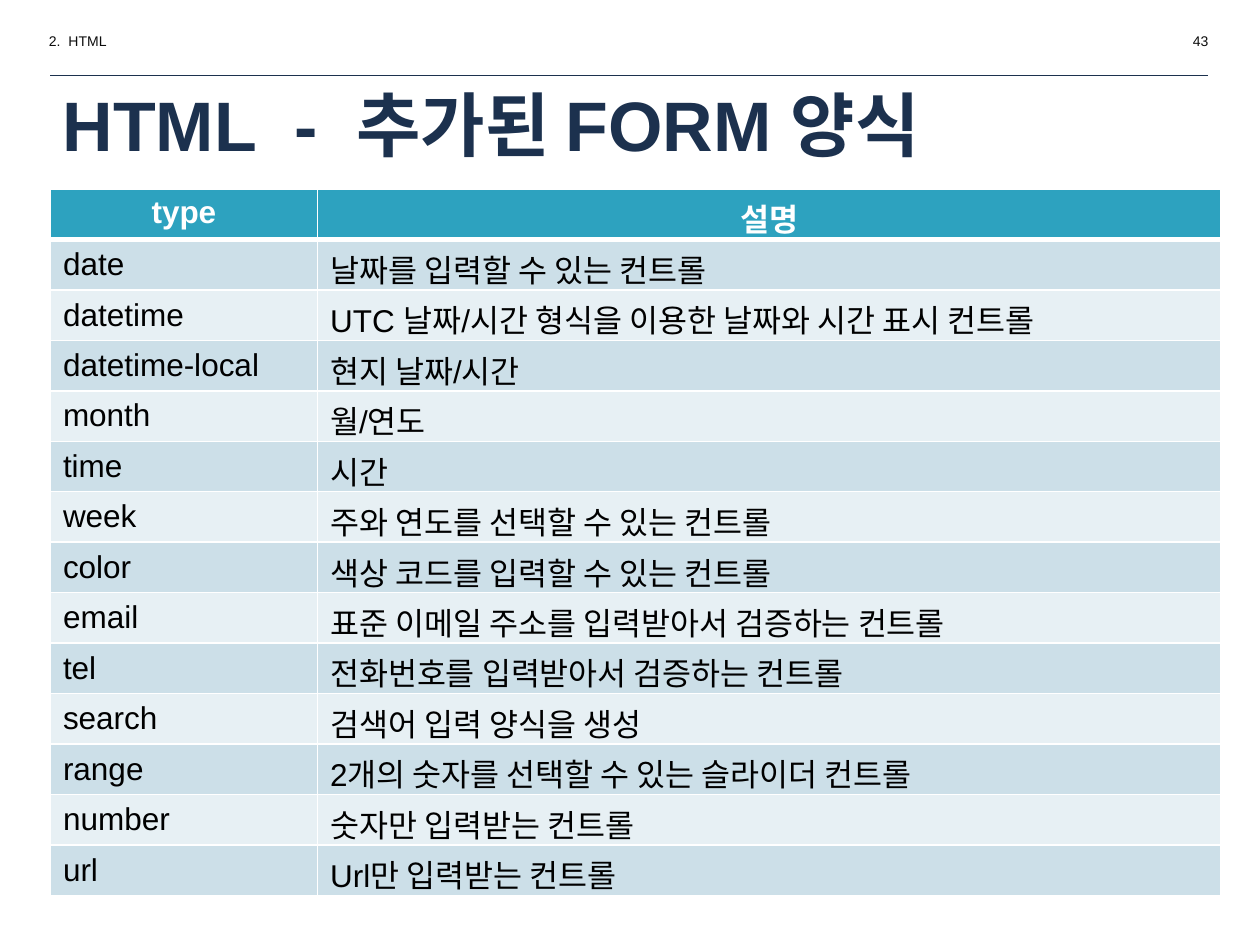
from lxml.etree import SubElement
from pptx import Presentation
from pptx.dml.color import RGBColor
from pptx.enum.shapes import MSO_CONNECTOR
from pptx.enum.text import MSO_ANCHOR, PP_ALIGN
from pptx.oxml.ns import qn
from pptx.util import Inches, Pt

NAVY, INK, BLACK, WHITE = "1C314E", "0C0C0C", "000000", "FFFFFF"
TEAL, BANDS = "2DA2BF", ("CCDFE8", "E7F0F4")

HEADER = ("type", "설명")
INPUT_TYPES = [
    ("date", "날짜를 입력할 수 있는 컨트롤"),
    ("datetime", "UTC 날짜/시간 형식을 이용한 날짜와 시간 표시 컨트롤"),
    ("datetime-local", "현지 날짜/시간"),
    ("month", "월/연도"),
    ("time", "시간"),
    ("week", "주와 연도를 선택할 수 있는 컨트롤"),
    ("color", "색상 코드를 입력할 수 있는 컨트롤"),
    ("email", "표준 이메일 주소를 입력받아서 검증하는 컨트롤"),
    ("tel", "전화번호를 입력받아서 검증하는 컨트롤"),
    ("search", "검색어 입력 양식을 생성"),
    ("range", "2개의 숫자를 선택할 수 있는 슬라이더 컨트롤"),
    ("number", "숫자만 입력받는 컨트롤"),
    ("url", "Url만 입력받는 컨트롤"),
]


def rgb(value):
    return RGBColor.from_string(value)


class Deck:
    """Holds the style and the current slide; lengths are percent of the slide."""

    font = "Arial"

    def __init__(self, width, height):
        self.prs = Presentation()
        self.prs.slide_width, self.prs.slide_height = Inches(width), Inches(height)
        self.s = self.prs.slides.add_slide(self.prs.slide_layouts[6])

    def x(self, share):
        return round(self.prs.slide_width * share / 100)

    def y(self, share):
        return round(self.prs.slide_height * share / 100)

    def set_text(self, tf, text, size, color, bold=False, align=PP_ALIGN.LEFT):
        p = tf.paragraphs[0]
        p.text, p.alignment = text, align
        for r in p.runs:
            r.font.name, r.font.size, r.font.bold = self.font, Pt(size), bold
            r.font.color.rgb = rgb(color)

    def text(self, left, top, width, height, text, size, color,
             bold=False, align=PP_ALIGN.LEFT, anchor=MSO_ANCHOR.TOP):
        sp = self.s.shapes.add_textbox(self.x(left), self.y(top), self.x(width), self.y(height))
        tf = sp.text_frame
        tf.word_wrap, tf.vertical_anchor = True, anchor
        self.set_text(tf, text, size, color, bold, align)

    def rule(self, left, right, top, color, weight):
        line = self.s.shapes.add_connector(
            MSO_CONNECTOR.STRAIGHT, self.x(left), self.y(top), self.x(right), self.y(top))
        line.line.color.rgb, line.line.width = rgb(color), Pt(weight)
        SubElement(line._element.spPr, qn("a:effectLst"))

    def borders(self, cell, **widths):
        tc_pr = cell._tc.get_or_add_tcPr()
        for side in "LRTB":
            ln = SubElement(tc_pr, qn(f"a:ln{side}"), w=str(Pt(widths.get(side, 1))))
            fill = SubElement(ln, qn("a:solidFill"))
            SubElement(fill, qn("a:srgbClr"), val=WHITE)

    def table(self, left, top, col_widths, row_height, rows):
        table = self.s.shapes.add_table(
            len(rows), len(col_widths), self.x(left), self.y(top),
            self.x(sum(col_widths)), self.y(row_height * len(rows))).table
        for column, width in zip(table.columns, col_widths):
            column.width = self.x(width)
        for i, values in enumerate(rows):
            table.rows[i].height = self.y(row_height)
            for cell, value in zip(table.rows[i].cells, values):
                if i == 0:
                    self.borders(cell, B=3)
                    self.set_text(cell.text_frame, value, 18, WHITE, True, PP_ALIGN.CENTER)
                else:
                    self.borders(cell, T=3 if i == 1 else 1)
                    self.set_text(cell.text_frame, value, 18, BLACK)
                    cell.vertical_anchor = MSO_ANCHOR.MIDDLE
                cell.fill.solid()
                cell.fill.fore_color.rgb = rgb(BANDS[(i - 1) % 2] if i else TEAL)


def main():
    deck = Deck(10, 7.5)

    # Running header: chapter, page number and rule
    deck.text(2.9, 2.8, 17.3, 3.2, "2.  HTML", 8, INK)
    deck.rule(4, 95.9, 8, NAVY, 0.75)
    deck.text(79.6, 2.8, 17.3, 3.2, "43", 8, INK, align=PP_ALIGN.RIGHT)

    # Title
    deck.text(4, 8.8, 91.5, 8.53, "HTML  -  추가된 FORM 양식", 40, NAVY,
              bold=True, anchor=MSO_ANCHOR.MIDDLE)

    # Input types and what they do
    deck.table(4, 20, (21.2, 71.7), 5.33, [HEADER, *INPUT_TYPES])

    deck.prs.save("out.pptx")


if __name__ == "__main__":
    main()
